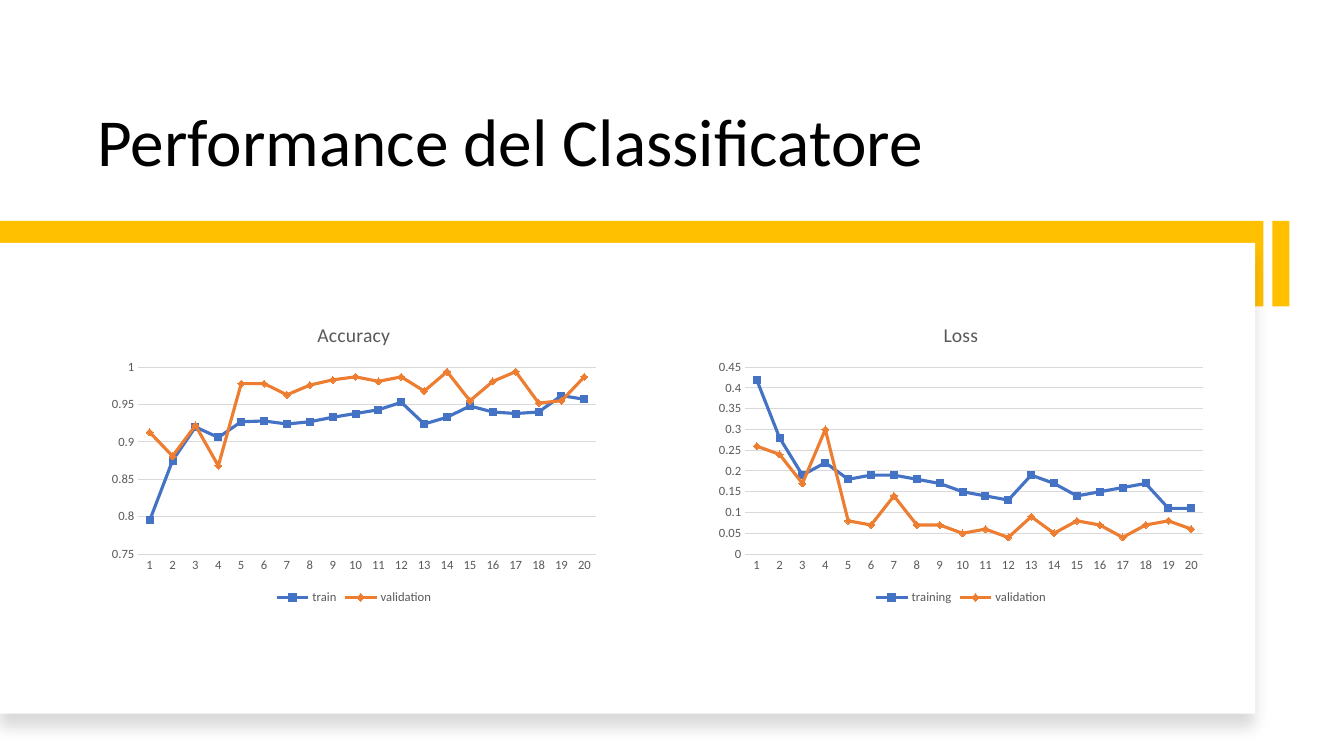
from lxml import etree
from pptx import Presentation
from pptx.chart.data import CategoryChartData
from pptx.dml.color import RGBColor
from pptx.enum.chart import XL_CHART_TYPE, XL_LEGEND_POSITION, XL_TICK_MARK
from pptx.enum.shapes import MSO_SHAPE
from pptx.enum.text import MSO_ANCHOR
from pptx.oxml.ns import qn
from pptx.util import Inches, Pt

RECTANGLE = MSO_SHAPE.RECTANGLE
LINE_CHART = XL_CHART_TYPE.LINE
LEGEND_BOTTOM = XL_LEGEND_POSITION.BOTTOM
NO_TICK = XL_TICK_MARK.NONE
ANCHOR_BOTTOM = MSO_ANCHOR.BOTTOM

COLORS = {
    "black": "000000",
    "white": "FFFFFF",
    "accent": "FFC000",
    "label": "595959",
    "grid": "D9D9D9",
    "training": "4472C4",
    "validation": "ED7D31",
}
FONT = "Calibri"
WIDTH, HEIGHT = 13.33, 7.5
BAND_TOP, BAND_HEIGHT = 2.19, 0.85
CHART_LEFT, CHART_PITCH = 1.01, 6.02
CHART_WIDTH, CHART_HEIGHT = 5, 3
EPOCHS = [str(epoch) for epoch in range(1, 21)]

CHARTS = [
    ("Accuracy", (0.75, 1, 0.05), {
        "train": [0.795, 0.875, 0.92, 0.906, 0.927, 0.928, 0.924, 0.927, 0.933, 0.938,
                  0.943, 0.953, 0.924, 0.933, 0.948, 0.94, 0.938, 0.94, 0.962, 0.957],
        "validation": [0.913, 0.881, 0.922, 0.868, 0.978, 0.978, 0.963, 0.976, 0.983, 0.987,
                       0.981, 0.987, 0.968, 0.994, 0.955, 0.981, 0.994, 0.952, 0.955, 0.987],
    }),
    ("Loss", (0, 0.45, 0.05), {
        "training": [0.42, 0.28, 0.19, 0.22, 0.18, 0.19, 0.19, 0.18, 0.17, 0.15,
                     0.14, 0.13, 0.19, 0.17, 0.14, 0.15, 0.16, 0.17, 0.11, 0.11],
        "validation": [0.26, 0.24, 0.17, 0.3, 0.08, 0.07, 0.14, 0.07, 0.07, 0.05,
                       0.06, 0.04, 0.09, 0.05, 0.08, 0.07, 0.04, 0.07, 0.08, 0.06],
    }),
]


def color(name):
    return RGBColor.from_string(COLORS[name])


def inches(box):
    return [Inches(length) for length in box]


def style_font(font, size, name):
    font.name = FONT
    font.size = Pt(size)
    font.bold = False
    font.color.rgb = color(name)


def style_line(line, name, width):
    line.color.rgb = color(name)
    line.width = Pt(width)


def add_title(slide, box, text):
    frame = slide.shapes.add_textbox(*inches(box)).text_frame
    frame.word_wrap = True
    frame.vertical_anchor = ANCHOR_BOTTOM
    frame.text = text
    para = frame.paragraphs[0]
    para.line_spacing = 0.9
    style_font(para.runs[0].font, 48, "black")


def add_block(slide, box, fill):
    block = slide.shapes.add_shape(RECTANGLE, *inches(box))
    block.shadow.inherit = False
    block.fill.solid()
    block.fill.fore_color.rgb = color(fill)
    block.line.fill.background()
    return block


def add_soft_shadow(shape):
    effects = shape.element.spPr.find(qn("a:effectLst"))
    shadow = etree.SubElement(effects, qn("a:outerShdw"), blurRad=str(Pt(11)),
                              dist=str(Pt(10)), dir="5400000", algn="t", rotWithShape="0")
    tint = etree.SubElement(shadow, qn("a:srgbClr"), val=COLORS["black"])
    etree.SubElement(tint, qn("a:alpha"), val="15000")


def add_panel(slide, left, top, width, height):
    add_block(slide, (left, top, width, BAND_HEIGHT), "accent")
    panel = add_block(slide, (left, top + 0.22, width - 0.08, height - 0.22), "white")
    add_soft_shadow(panel)
    add_block(slide, (left + width + 0.09, top, 0.17, BAND_HEIGHT), "accent")


def style_axes(chart, scale):
    for axis in (chart.category_axis, chart.value_axis):
        axis.major_tick_mark = NO_TICK
        axis.minor_tick_mark = NO_TICK
        style_font(axis.tick_labels.font, 9, "label")
    style_line(chart.category_axis.format.line, "grid", 0.75)
    values = chart.value_axis
    values.minimum_scale, values.maximum_scale, values.major_unit = scale
    values.format.line.fill.background()
    values.has_major_gridlines = True
    style_line(values.major_gridlines.format.line, "grid", 0.75)


def add_line_chart(slide, box, title, scale, curves):
    data = CategoryChartData()
    data.categories = EPOCHS
    for name, values in curves.items():
        data.add_series(name, values)
    chart = slide.shapes.add_chart(LINE_CHART, *inches(box), data).chart
    style_font(chart.font, 10, "black")
    chart.has_title = True
    frame = chart.chart_title.text_frame
    frame.text = title
    style_font(frame.paragraphs[0].runs[0].font, 14, "label")
    chart.chart_title.include_in_layout = False
    chart.has_legend = True
    chart.legend.position = LEGEND_BOTTOM
    chart.legend.include_in_layout = False
    style_font(chart.legend.font, 9, "label")
    style_axes(chart, scale)
    plot = chart.plots[0]
    plot.vary_by_categories = False
    for series, name in zip(plot.series, ("training", "validation")):
        series.smooth = False
        series.marker.style = None
        style_line(series.format.line, name, 2.25)


def main():
    deck = Presentation()
    deck.slide_width, deck.slide_height = Inches(WIDTH), Inches(HEIGHT)
    slide = deck.slides.add_slide(deck.slide_layouts[6])
    add_title(slide, (0.87, 0.42, 11.01, 1.42), "Performance del Classificatore")
    add_panel(slide, 0, BAND_TOP, 12.53, 4.89)
    for column, (title, scale, curves) in enumerate(CHARTS):
        box = (CHART_LEFT + column * CHART_PITCH, BAND_TOP + BAND_HEIGHT,
               CHART_WIDTH, CHART_HEIGHT)
        add_line_chart(slide, box, title, scale, curves)
    deck.save("out.pptx")


if __name__ == "__main__":
    main()
